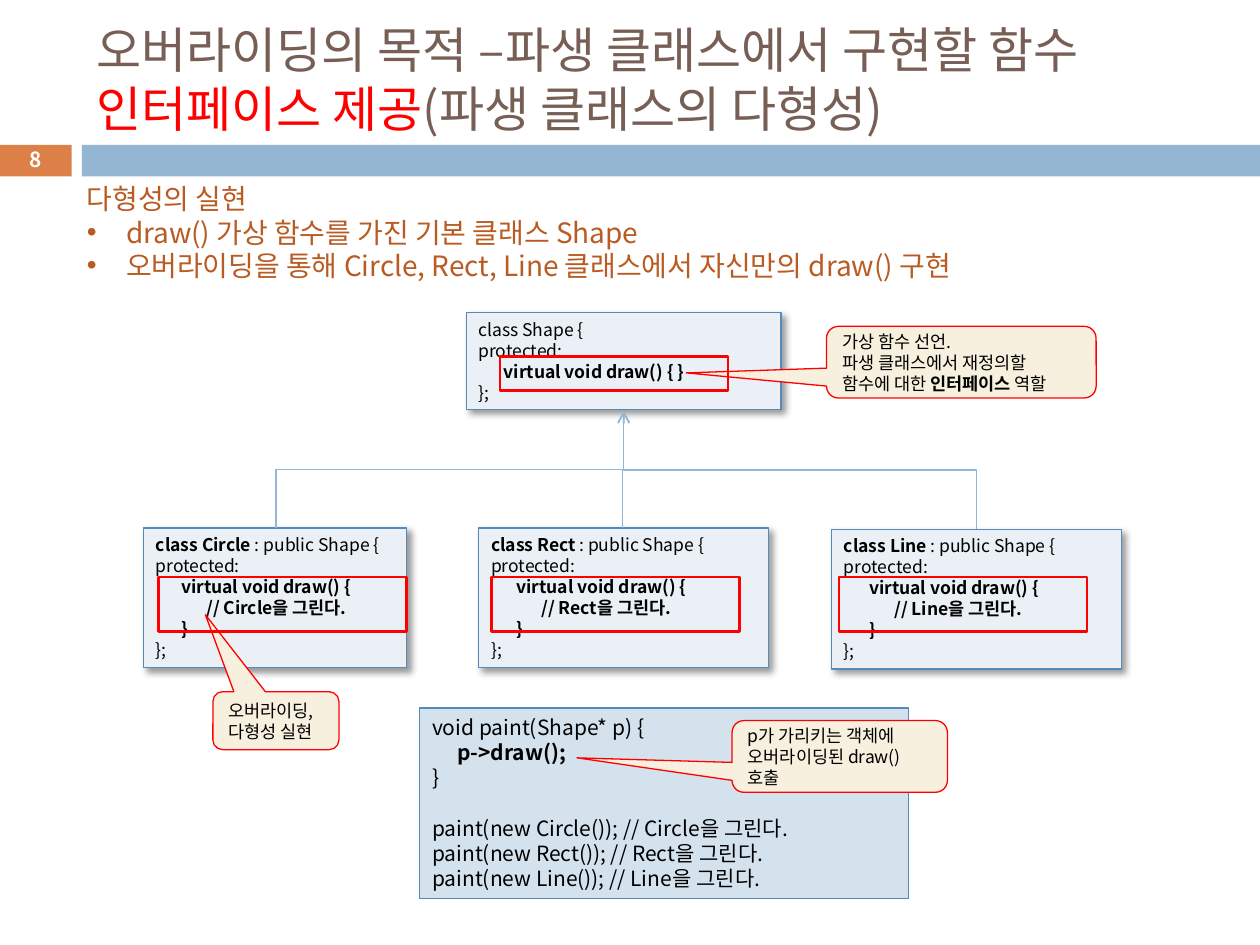
import pptx
import pptx.dml.color
import pptx.enum.shapes
import pptx.enum.text
import pptx.oxml.ns
import pptx.util
from lxml import etree

Pt = pptx.util.Pt
SHAPE = pptx.enum.shapes.MSO_SHAPE
ALIGN = pptx.enum.text.PP_ALIGN
ANCHOR = pptx.enum.text.MSO_ANCHOR
FONT = "Noto Sans CJK KR"
RED, BLUE, EDGE, BROWN = "FF0000", "94B6D2", "558BB8", "775F55"
PALE, CREAM = "EAF0F6", "F7F0DE"
BOLD = {"bold": True}


def rgb(value):
    return pptx.dml.color.RGBColor.from_string(value)


def add_xml(parent, tag, **attributes):
    return etree.SubElement(parent, pptx.oxml.ns.qn(tag), attributes)


def add_text(frame, paragraphs, size=10, color="000000", bold=False,
             align=ALIGN.LEFT, anchor=ANCHOR.TOP, wrap=True, tab=None,
             right=7.2, bullets=(), gaps=None):
    frame.word_wrap = wrap
    frame.auto_size = pptx.enum.text.MSO_AUTO_SIZE.NONE
    frame.vertical_anchor = anchor
    frame.margin_left, frame.margin_right = Pt(7.2), Pt(right)
    frame.margin_top = frame.margin_bottom = Pt(3.6)
    for index, runs in enumerate(paragraphs):
        paragraph = frame.add_paragraph() if index else frame.paragraphs[0]
        properties = paragraph._p.get_or_add_pPr()
        indent = Pt(22.3) if index in bullets else 0
        properties.set("marL", str(indent))
        properties.set("indent", str(-indent))
        if tab:
            properties.set("defTabSz", str(Pt(tab)))
        if index in bullets:
            add_xml(properties, "a:buFont", typeface="Arial")
            add_xml(properties, "a:buChar", char="•")
        else:
            add_xml(properties, "a:buNone")
        paragraph.alignment = align
        paragraph.line_spacing = Pt(round(size * 1.2, 1))
        paragraph.space_before = Pt((gaps or {}).get(index, 0))
        for part in [runs] if isinstance(runs, str) else runs:
            words, style = (part, {}) if isinstance(part, str) else part
            run = paragraph.add_run()
            run.text = words
            run.font.size = Pt(size)
            run.font.bold = style.get("bold", bold)
            run.font.color.rgb = rgb(style.get("color", color))
            run.font.name = FONT
            add_xml(run._r.get_or_add_rPr(), "a:ea", typeface=FONT)


class SlideBuilder:
    def __init__(self, slide):
        self.slide = slide

    def placeholder(self, index, box, paragraphs, **style):
        holder = self.slide.placeholders[index]
        holder.left, holder.top, holder.width, holder.height = map(Pt, box)
        add_text(holder.text_frame, paragraphs, **style)

    def block(self, box, fill=None, line=None, weight=0.75, kind=SHAPE.RECTANGLE):
        block = self.slide.shapes.add_shape(kind, *map(Pt, box))
        block.shadow.inherit = False
        if fill:
            block.fill.solid()
            block.fill.fore_color.rgb = rgb(fill)
        else:
            block.fill.background()
        if line:
            block.line.color.rgb = rgb(line)
            block.line.width = Pt(weight)
        else:
            block.line.fill.background()
        return block

    def code(self, box, lines, fill=PALE, shadow=True, **style):
        block = self.block(box, fill, EDGE)
        if shadow:
            effects = block._element.spPr.find(pptx.oxml.ns.qn("a:effectLst"))
            cast = add_xml(effects, "a:outerShdw", blurRad=str(Pt(4)), dist=str(Pt(3)),
                           dir="2700000", algn="tl", rotWithShape="0")
            add_xml(add_xml(cast, "a:srgbClr", val="000000"), "a:alpha", val="40000")
        add_text(block.text_frame, lines, tab=14.4, **style)

    def callout(self, box, pointer, paragraphs, **style):
        bubble = self.block(box, CREAM, RED, kind=SHAPE.ROUNDED_RECTANGULAR_CALLOUT)
        bubble.adjustments[0], bubble.adjustments[1] = pointer
        add_text(bubble.text_frame, paragraphs, anchor=ANCHOR.MIDDLE, **style)

    def frame(self, box):
        self.block(box, line=RED, weight=1.5)

    def inheritance(self, child, parent):
        (x1, y1), (x2, y2) = child, parent
        middle_x, middle_y = (x1 + x2) / 2, (y1 + y2) / 2
        rise, shift = (y1 - y2) / 2, (x2 - x1) / 2
        arrow = self.slide.shapes.add_connector(
            pptx.enum.shapes.MSO_CONNECTOR.ELBOW,
            Pt(middle_x - rise), Pt(middle_y - shift),
            Pt(middle_x + rise), Pt(middle_y + shift))
        properties = arrow._element.spPr
        properties.find(pptx.oxml.ns.qn("a:xfrm")).set("rot", "16200000")
        arrow.line.color.rgb = rgb(BLUE)
        arrow.line.width = Pt(0.79)
        add_xml(arrow.line._get_or_add_ln(), "a:tailEnd", type="arrow")
        add_xml(properties, "a:effectLst")


def main():
    deck = pptx.Presentation()
    deck.slide_width, deck.slide_height = Pt(720), Pt(540)
    page = SlideBuilder(deck.slides.add_slide(deck.slide_layouts[1]))

    page.block((0, 82.8, 41, 18), "DD8047")
    page.block((46.8, 82.8, 673.2, 18), BLUE)
    page.placeholder(0, (48.2, 18, 642.2, 53.3), [[
        "오버라이딩의 목적 –파생 클래스에서 구현할 함수 ",
        ("인터페이스 제공", {"color": RED}),
        "(파생 클래스의 다형성)"]], size=28, color=BROWN, anchor=ANCHOR.MIDDLE)
    number = page.slide.shapes.add_textbox(Pt(-0.7), Pt(81.4), Pt(41.8), Pt(19.4))
    add_text(number.text_frame, ["8"], size=11.9, color="FFFFFF", bold=True,
             align=ALIGN.CENTER, anchor=ANCHOR.MIDDLE)
    page.placeholder(1, (42.5, 100.1, 543.6, 65.5), [
        "다형성의 실현",
        "draw() 가상 함수를 가진 기본 클래스 Shape",
        "오버라이딩을 통해 Circle, Rect, Line 클래스에서 자신만의 draw() 구현",
    ], size=16, color="B95B22", wrap=False, bullets=(1, 2))

    page.code((266.4, 178.6, 180, 55.4), [
        "class Shape {", "protected:", [("\tvirtual void draw() { }", BOLD)], "};"])
    children = [("Circle", 82, 301.7, 150.5, 157.7, 90.7),
                ("Rect", 273.6, 301.7, 165.6, 355.7, 280.8),
                ("Line", 475.2, 302.4, 165.6, 558, 479.5)]
    for name, left, top, width, _, _ in children:
        page.code((left, top, width, 80), [
            [(f"class {name} ", BOLD), ": public Shape {"],
            "protected:",
            [("\tvirtual void draw() {", BOLD)],
            [(f"\t\t// {name}을 그린다.", BOLD)],
            [("\t}", BOLD)],
            "};"])
    for _, _, top, _, joint, _ in children:
        page.inheritance((joint, top), (356.4, 235))

    page.code((239.8, 404.6, 279.4, 108.7), [
        "void paint(Shape* p) {", [("\tp->draw();", BOLD)], "}",
        *(f"paint(new {child[0]}()); // {child[0]}을 그린다." for child in children),
    ], fill="D4E2ED", shadow=False, size=12, gaps={3: 14.4})

    page.callout((418.3, 411.8, 123.1, 41), (-1.22, 0.02),
                 ["p가 가리키는 객체에 오버라이딩된 draw() 호출"])
    page.callout((121.7, 395.3, 72, 33.1), (-0.56, -1.83),
                 ["오버라이딩,", "다형성 실현"])
    page.callout((472.3, 186.5, 154.1, 41), (-1.02, 0.15), [
        "가상 함수 선언.",
        ["파생 클래스에서 재정의할 함수에 대한 ", ("인터페이스", BOLD), " 역할"]],
        right=16)

    page.frame((285.8, 203.8, 130.3, 19.4))
    for child in children:
        page.frame((child[-1], 329.8, 141.8, 31))
    deck.save("out.pptx")


if __name__ == "__main__":
    main()
